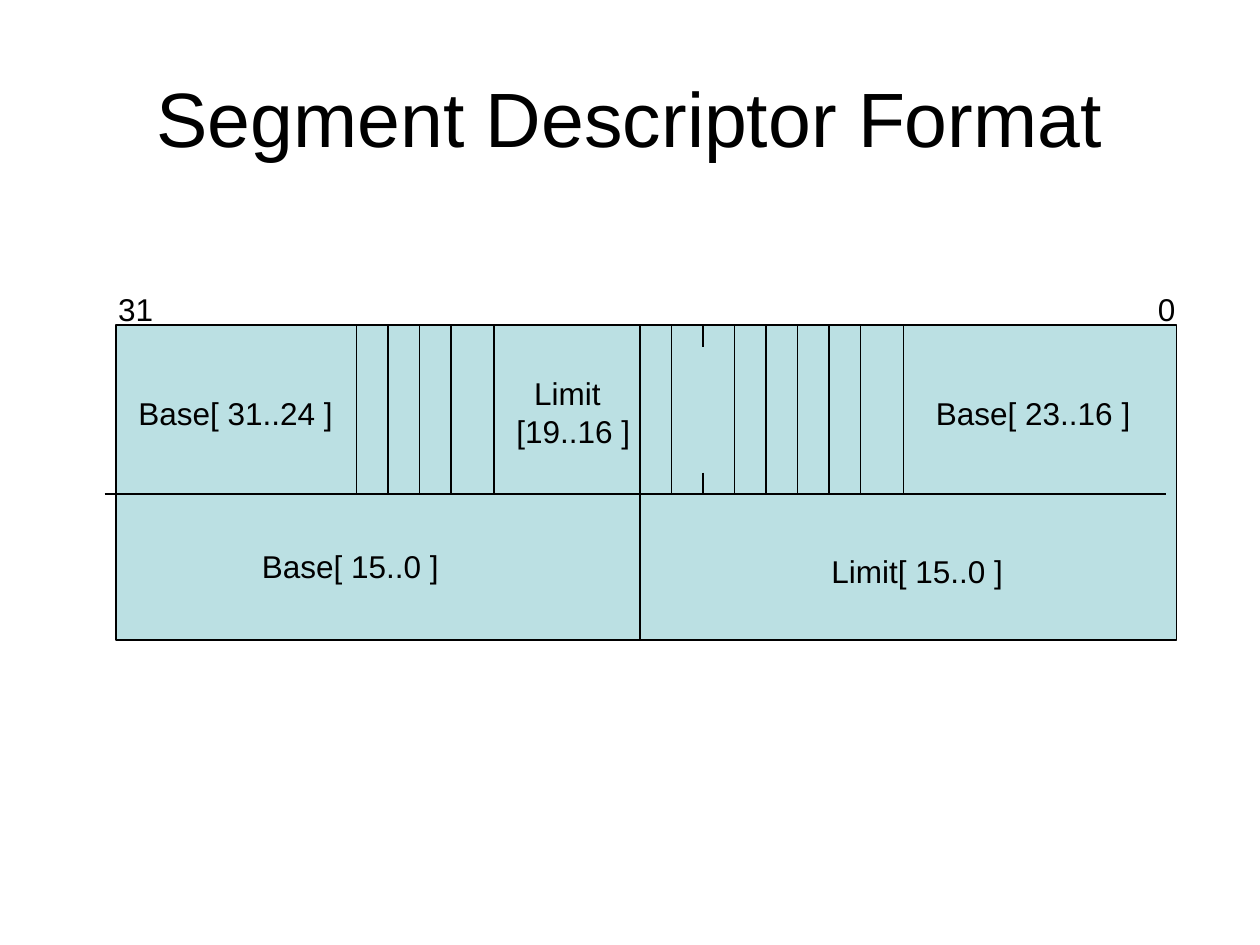
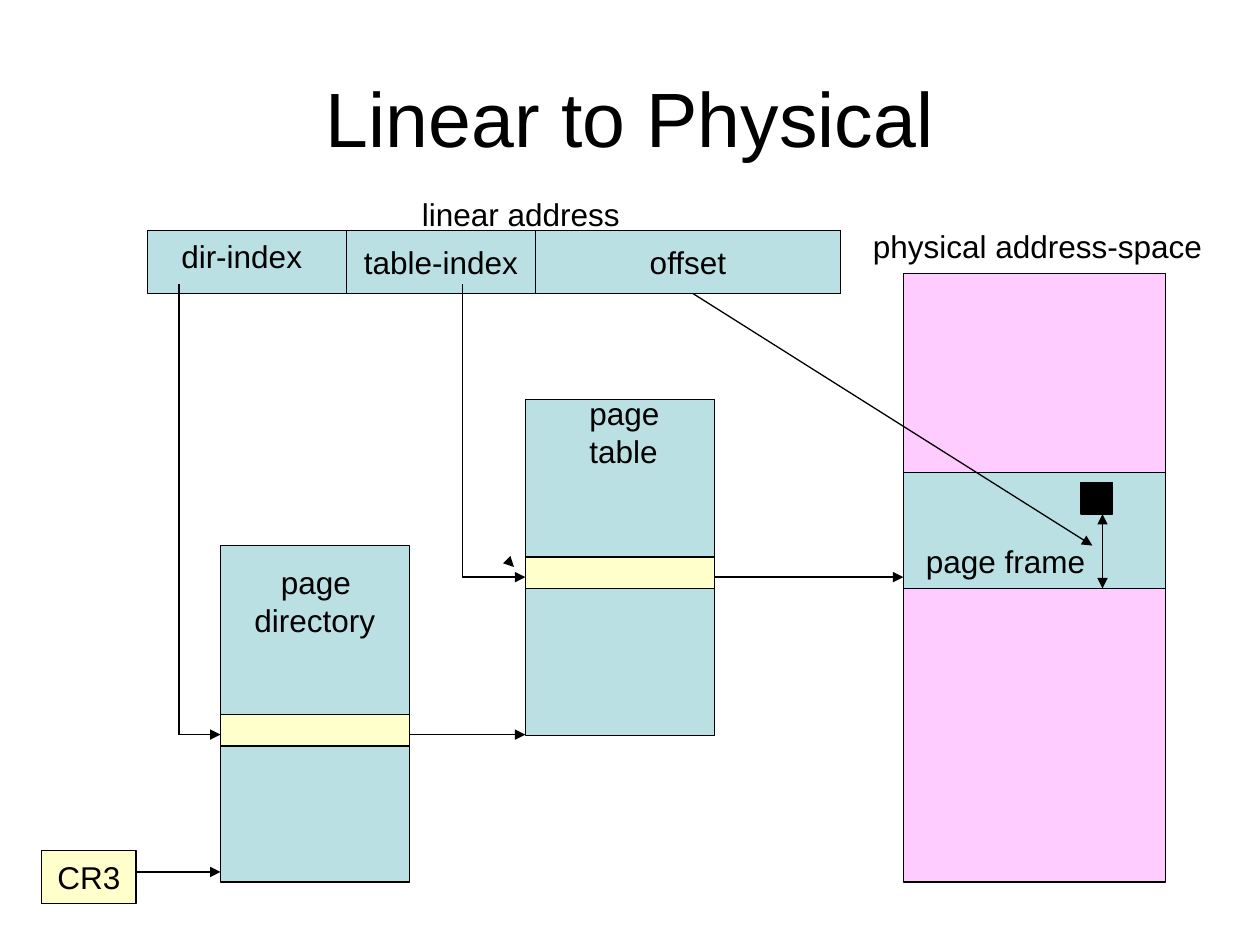
import pptx
import pptx.util
import pptx.dml.color
import pptx.enum.shapes
import pptx.enum.text
import pptx.oxml
import pptx.oxml.ns

Inches = pptx.util.Inches
Align = pptx.enum.text.PP_ALIGN
Anchor = pptx.enum.text.MSO_ANCHOR

# Shared style
FONT = "Arial"
BLACK = "000000"
TEAL = "BBE0E3"
PINK = "FFCCFF"
CREAM = "FFFFCC"
TITLE_SIZE = 44
LABEL_SIZE = 18
LABEL_SLACK = 0.05  # spare width that keeps each label line whole
LINE_WIDTH = 0.75


def color(hex_string):
    return pptx.dml.color.RGBColor.from_string(hex_string)


def write(frame, lines, size, align, anchor, first_indent=0):
    """Write one paragraph per line, the first one moved in by first_indent inches."""
    frame.vertical_anchor = anchor
    for number, line in enumerate(lines):
        para = frame.paragraphs[0] if number == 0 else frame.add_paragraph()
        para.alignment = align
        if number == 0 and first_indent:
            para._p.get_or_add_pPr().set("marL", str(Inches(first_indent)))
        span = para.add_run()
        span.text = line
        span.font.name = FONT
        span.font.size = pptx.util.Pt(size)
        span.font.color.rgb = color(BLACK)


def add_page(deck, title):
    page = deck.slides.add_slide(deck.slide_layouts[6])
    box = page.shapes.add_textbox(Inches(0.5), Inches(0.3), Inches(9), Inches(1.25))
    box.text_frame.word_wrap = True
    write(box.text_frame, [title], TITLE_SIZE, Align.CENTER, Anchor.MIDDLE)
    return page


def add_label(page, left, top, width, *lines, first_indent=0):
    height = 0.1 + 0.3 * len(lines)
    box = page.shapes.add_textbox(
        Inches(left), Inches(top), Inches(width + LABEL_SLACK), Inches(height))
    box.text_frame.word_wrap = False
    box.text_frame.auto_size = pptx.enum.text.MSO_AUTO_SIZE.SHAPE_TO_FIT_TEXT
    write(box.text_frame, lines, LABEL_SIZE, Align.LEFT, Anchor.TOP, first_indent)


def add_block(page, left, top, width, height, fill, text=None):
    block = page.shapes.add_shape(
        pptx.enum.shapes.MSO_SHAPE.RECTANGLE,
        Inches(left), Inches(top), Inches(width), Inches(height))
    block.shadow.inherit = False
    block.fill.solid()
    block.fill.fore_color.rgb = color(fill)
    block.line.color.rgb = color(BLACK)
    block.line.width = pptx.util.Pt(LINE_WIDTH)
    if text:
        block.text_frame.word_wrap = False
        write(block.text_frame, [text], LABEL_SIZE, Align.CENTER, Anchor.MIDDLE)


def add_line(page, start, end, arrows=()):
    """Draw a line; arrows names its arrowheads: headEnd at start, tailEnd at end."""
    line = page.shapes.add_connector(
        pptx.enum.shapes.MSO_CONNECTOR.STRAIGHT,
        Inches(start[0]), Inches(start[1]), Inches(end[0]), Inches(end[1]))
    line.line.color.rgb = color(BLACK)
    line.line.width = pptx.util.Pt(LINE_WIDTH)
    outline = line.line._get_or_add_ln()
    for name in arrows:
        arrow = pptx.oxml.parse_xml(f'<a:{name} {pptx.oxml.ns.nsdecls("a")} type="triangle"/>')
        outline.append(arrow)
    line._element.spPr.append(
        pptx.oxml.parse_xml(f'<a:effectLst {pptx.oxml.ns.nsdecls("a")}/>'))


def add_arrow(page, start, end):
    add_line(page, start, end, ["tailEnd"])


def add_index_path(page, left, top, bottom, target):
    """Lead from an index field down and then right to a table entry."""
    add_line(page, (left, bottom), (left, top))
    add_arrow(page, (left, bottom), (target, bottom))


def build_descriptor(deck):
    page = add_page(deck, "Segment Descriptor Format")
    top, middle, bottom = 2.58, 3.92, 5.08
    center = 5.08
    add_block(page, 0.92, top, 8.42, bottom - top, TEAL)

    # Dividers between the words and between the bit fields
    add_line(page, (0.83, middle), (9.25, middle))
    add_line(page, (center, top), (center, bottom))
    bit = 0.25
    left_bits = [2.83 + bit * step for step in range(4)]
    right_bits = [center + bit * step for step in (1, 3, 4, 5, 6, 7)]
    for left in left_bits + [3.92] + right_bits + [7.17]:
        add_line(page, (left, top), (left, middle))

    # Two short ticks split the double-width field
    tick, split = 0.17, center + 2 * bit
    for tick_top in (top, middle - tick):
        add_line(page, (split, tick_top), (split, tick_top + tick))

    # Field names and bit numbers
    add_label(page, 6.5, 4.33, 1.56, "Limit[ 15..0 ]")
    add_label(page, 1.98, 4.29, 1.6, "Base[ 15..0 ]")
    add_label(page, 7.33, 3.08, 1.74, "Base[ 23..16 ]")
    add_label(page, 1, 3.08, 1.74, "Base[ 31..24 ]")
    add_label(page, 4, 2.92, 1.1, "Limit", "[19..16 ]", first_indent=0.14)
    add_label(page, 0.84, 2.25, 0.48, "31")
    add_label(page, 9.09, 2.25, 0.34, "0")


def build_translation(deck):
    page = add_page(deck, "Linear to Physical")
    directory_left, table_left, memory_left = 1.75, 4.17, 7.17
    table_width, table_height, entry_height = 1.5, 2.67, 0.25
    directory_row, table_row = 5.83, 4.58

    # Linear address
    add_block(page, 1.17, 1.83, 5.5, 0.5, TEAL)
    add_block(page, 4.25, 1.83, 2.42, 0.5, TEAL, "offset")
    add_block(page, 2.75, 1.83, 1.5, 0.5, TEAL, "table-index")
    add_label(page, 1.34, 1.83, 1.16, "dir-index")
    add_label(page, 3.25, 1.5, 1.77, "linear address")

    # Physical memory with its page frame
    add_block(page, memory_left, 2.17, 2.08, 4.83, PINK)
    add_block(page, memory_left, 3.75, 2.08, 0.92, TEAL)
    add_block(page, 8.58, 3.83, 0.25, 0.25, BLACK)
    add_label(page, 6.83, 1.75, 2.81, "physical address-space")
    add_line(page, (8.75, 4.08), (8.75, 4.67), ["headEnd", "tailEnd"])
    add_arrow(page, (5.5, 2.33), (8.67, 4.33))
    add_label(page, 7.25, 4.25, 1.46, "page frame")

    # Page directory and page table, each with one entry marked
    for left, top, entry_top in ((directory_left, 4.33, 5.67), (table_left, 3.17, 4.42)):
        add_block(page, left, top, table_width, table_height, TEAL)
        add_block(page, left, entry_top, table_width, entry_height, CREAM)
    add_label(page, 1.92, 4.42, 1.16, "page", "directory", first_indent=0.21)
    add_label(page, 4.58, 3.08, 0.75, "page", "table")

    # Base register and lookups
    add_block(page, 0.33, 6.75, 0.75, 0.42, CREAM, "CR3")
    add_arrow(page, (1.08, 6.92), (directory_left, 6.92))
    add_index_path(page, 1.42, 2.25, directory_row, directory_left)
    add_index_path(page, 3.67, 2.25, table_row, table_left)
    add_arrow(page, (directory_left + table_width, directory_row), (table_left, directory_row))
    add_arrow(page, (table_left + table_width, table_row), (memory_left, table_row))
    add_arrow(page, (4.07, 4.49), (4.08, 4.5))


def main():
    deck = pptx.Presentation()
    deck.slide_width = Inches(10)
    deck.slide_height = Inches(7.5)
    build_descriptor(deck)
    build_translation(deck)
    deck.save("out.pptx")


if __name__ == "__main__":
    main()
